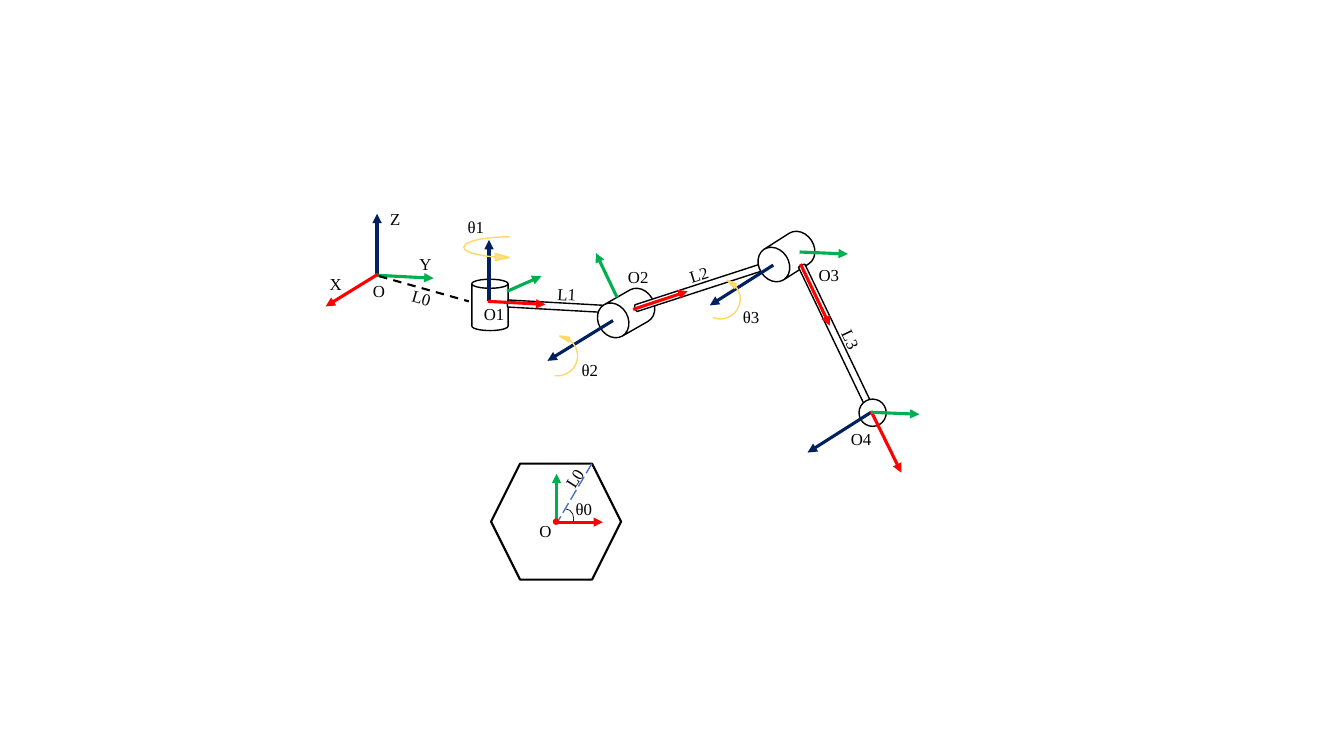
from pptx import Presentation
from pptx.dml.color import RGBColor
from pptx.enum import dml, shapes, text
from pptx.oxml.ns import qn
from pptx.util import Inches, Pt
from lxml import etree

COLORS = {
    "black": "000000", "white": "FFFFFF", "x": "FF0000", "y": "00B050",
    "z": "002060", "turn": "FFD966", "radius": "4472C4",
}
FONT = "Times New Roman"
G = shapes.MSO_SHAPE
DASH = dml.MSO_LINE


def rgb(name):
    return RGBColor.from_string(COLORS[name])


def add_label(parent, txt, x, y, w=0.41, rot=0, size=12, color="black"):
    sp = parent.add_textbox(Inches(x), Inches(y), Inches(w), Inches(0.3))
    sp.rotation = rot
    tf = sp.text_frame
    tf.word_wrap = True
    tf.auto_size = text.MSO_AUTO_SIZE.SHAPE_TO_FIT_TEXT
    r = tf.paragraphs[0].add_run()
    r.text = txt
    r.font.name, r.font.size = FONT, Pt(size)
    r.font.color.rgb = rgb(color)


def add_body(parent, kind, x, y, w, h, rot=0, adj=(), fill="white",
             line="black", width=1, flip=False, alpha=None):
    sp = parent.add_shape(kind, Inches(x), Inches(y), Inches(w), Inches(h))
    sp.shadow.inherit = False
    sp.rotation = rot
    for i, value in enumerate(adj):
        sp.adjustments[i] = value
    if fill:
        sp.fill.solid()
        sp.fill.fore_color.rgb = rgb(fill)
    else:
        sp.fill.background()
    sp.line.color.rgb = rgb(line)
    sp.line.width = Pt(width)
    if flip:
        sp._element.spPr.find(qn("a:xfrm")).set("flipH", "1")
    if alpha:
        clr = sp._element.spPr.find(qn("a:solidFill"))[0]
        etree.SubElement(clr, qn("a:alpha")).set("val", str(alpha * 1000))


def add_line(parent, start, end, color, width=2.25, dash=None, arrow=False):
    points = [Inches(v) for v in (*start, *end)]
    cx = parent.add_connector(shapes.MSO_CONNECTOR.STRAIGHT, *points)
    cx.line.color.rgb = rgb(color)
    cx.line.width = Pt(width)
    if dash:
        cx.line.dash_style = dash
    if arrow:
        ln = cx.line._get_or_add_ln()
        etree.SubElement(ln, qn("a:tailEnd")).set("type", "triangle")
    etree.SubElement(cx._element.spPr, qn("a:effectLst"))


def add_axes(parent, axes):
    for axis, start, end in axes:
        add_line(parent, start, end, axis, arrow=True)


def add_turn(parent, x, y, rot):
    add_body(parent, G.CURVED_LEFT_ARROW, x, y, 0.2, 0.42, rot,
             (0, 0.232, 0.491), "turn", "turn", flip=True)


def draw_leg(leg):
    # Joints and links, from the base to the foot
    add_body(leg, G.CAN, 4.68, 2.77, 0.36, 0.51)
    add_body(leg, G.CAN, 5.61, 2.43, 0.07, 1.23, 93.2)
    add_body(leg, G.CAN, 6.03, 2.81, 0.36, 0.59, 240.3, (0.826,))
    add_body(leg, G.CAN, 7.05, 1.98, 0.07, 1.65, 72)
    add_body(leg, G.CAN, 7.62, 2.25, 0.36, 0.59, 237.5, (0.826,))
    add_body(leg, G.CAN, 8.27, 2.55, 0.07, 1.65, 154.4)
    add_body(leg, G.OVAL, 8.52, 3.96, 0.27, 0.27)

    # Axes of frames O1, O2, O3 and O
    add_axes(leg, [
        ("y", (5.03, 2.89), (5.37, 2.74)),
        ("z", (4.85, 2.99), (4.85, 2.38)),
        ("x", (4.84, 2.99), (5.41, 3.02)),
        ("z", (6.08, 3.18), (5.43, 3.58)),
        ("x", (6.28, 3.07), (6.82, 2.89)),
        ("y", (6.12, 2.95), (5.91, 2.51)),
        ("z", (7.67, 2.63), (7.04, 3.03)),
        ("x", (7.94, 2.62), (8.23, 3.23)),
        ("y", (7.93, 2.5), (8.41, 2.52)),
        ("z", (3.74, 2.73), (3.74, 2.12)),
        ("y", (3.72, 2.73), (4.3, 2.76)),
        ("x", (3.75, 2.72), (3.23, 3.04)),
    ])

    # Joint rotations
    add_turn(leg, 5.53, 3.32, 186.2)
    add_turn(leg, 7.14, 2.78, 200.2)
    add_body(leg, G.CURVED_RIGHT_ARROW, 4.6, 2.35, 0.45, 0.24,
             adj=(0, 0.295, 0.571), fill="turn", line="turn", alpha=80)

    # Offset from O to O1
    add_line(leg, (3.76, 2.74), (4.65, 2.99), "black", 1.5, DASH.DASH)

    # Names of links, frames and angles
    for txt, x, y, rot in [
        ("L0", 3.99, 2.81, 15.7), ("L1", 5.43, 2.77, 3.3),
        ("L2", 6.74, 2.57, 342.5), ("L3", 8.24, 3.23, 64.7),
        ("O2", 6.13, 2.6, 0), ("O3", 8.02, 2.58, 0),
        ("θ1", 4.54, 2.1, 0), ("θ2", 5.67, 3.52, 0), ("θ3", 7.27, 2.99, 0),
    ]:
        add_label(leg, txt, x, y, rot=rot)
    add_label(leg, "O1", 4.7, 2.96, 0.45)
    for txt, x, y in [("O", 3.6, 2.74), ("X", 3.17, 2.67),
                      ("Y", 4.06, 2.47), ("Z", 3.77, 2.02)]:
        add_label(leg, txt, x, y, 0.32)


def draw_base(base):
    center = (5.52, 5.18)
    add_body(base, G.HEXAGON, 4.87, 4.6, 1.29, 1.15, width=1.5)
    add_axes(base, [("x", center, (5.98, 5.18)), ("y", center, (5.52, 4.7))])
    add_body(base, G.OVAL, 5.49, 5.15, 0.05, 0.05, fill="x", line="x")
    add_line(base, (5.87, 4.6), (5.54, 5.16), "radius", 1, DASH.LONG_DASH)
    add_body(base, G.ARC, 5.54, 5.05, 0.15, 0.19, adj=(162, 16.02),
             fill=None, width=0.5)
    add_label(base, "O", 5.25, 5.12, 0.32)
    add_label(base, "L0", 5.5, 4.59, 0.4, rot=302.4)
    add_label(base, "θ0", 5.61, 4.9)


def draw_foot(foot):
    add_label(foot, "O4", 8.34, 4.2)
    add_axes(foot, [
        ("z", (8.64, 4.09), (8.01, 4.49)),
        ("x", (8.64, 4.08), (8.94, 4.69)),
        ("y", (8.64, 4.09), (9.12, 4.11)),
    ])


def main():
    prs = Presentation()
    prs.slide_width, prs.slide_height = Inches(13.33), Inches(7.5)
    s = prs.slides.add_slide(prs.slide_layouts[6])
    draw_leg(s.shapes.add_group_shape().shapes)
    draw_base(s.shapes.add_group_shape().shapes)
    draw_foot(s.shapes)
    prs.save("out.pptx")


main()
